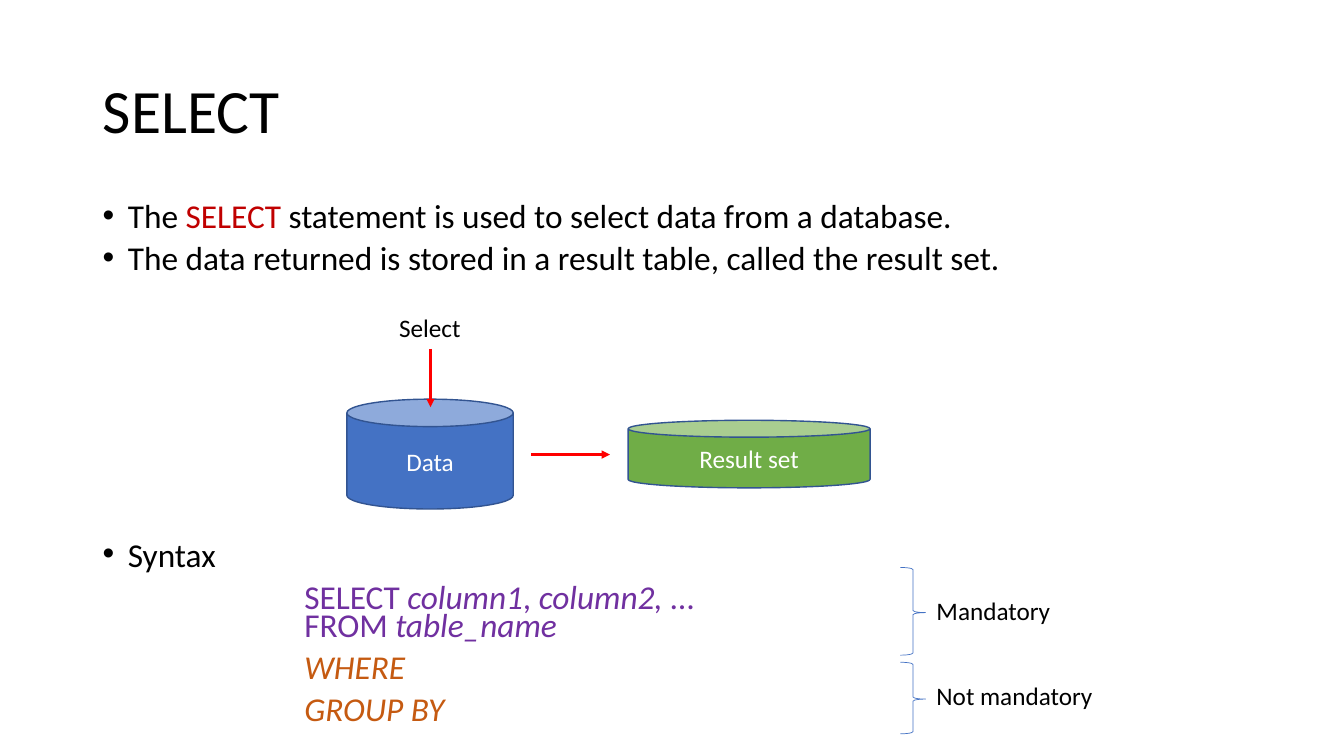
from lxml import etree
from pptx import Presentation
from pptx.dml.color import RGBColor
from pptx.enum import shapes, text
from pptx.oxml import ns
from pptx.util import Inches, Pt

FONT = "Calibri"
BODY_SIZE = 23.8
COLORS = {
    "black": "000000", "white": "FFFFFF", "keyword": "C00000",
    "mandatory": "7030A0", "optional": "C55A11", "data": "4472C4",
    "result": "70AD47", "outline": "325491", "arrow": "FF0000",
}


def rgb(name):
    return RGBColor.from_string(COLORS[name])


def add_run(p, words, size, color="black", italic=False):
    r = p.add_run()
    r.text = words
    r.font.name = FONT
    r.font.size = Pt(size)
    r.font.italic = italic
    r.font.color.rgb = rgb(color)


def add_title(s, words):
    sp = s.shapes.title
    sp.left, sp.top, sp.width, sp.height = map(Inches, (0.92, 0.4, 11.5, 1.45))
    tf = sp.text_frame
    tf.auto_size = text.MSO_AUTO_SIZE.NONE
    tf.vertical_anchor = text.MSO_ANCHOR.MIDDLE
    p = tf.paragraphs[0]
    p.alignment = text.PP_ALIGN.LEFT
    p.line_spacing = 0.9
    add_run(p, words, 44)


def set_indent(p, left, first=0.0, bullet=None):
    pPr = p._p.get_or_add_pPr()
    pPr.set("marL", str(Inches(left)))
    pPr.set("indent", str(Inches(first)))
    if bullet:
        font = etree.SubElement(pPr, ns.qn("a:buFont"))
        font.set("typeface", "Arial")
        etree.SubElement(pPr, ns.qn("a:buChar")).set("char", bullet)


def add_body(s, paragraphs):
    """Each paragraph is (kind, space before, lines), a line being a list of runs."""
    box = s.shapes.add_textbox(Inches(0.92), Inches(2), Inches(11.86), Inches(5.5))
    tf = box.text_frame
    tf.word_wrap = True
    for i, (kind, before, lines) in enumerate(paragraphs):
        p = tf.add_paragraph() if i else tf.paragraphs[0]
        p.line_spacing = 0.7
        p.space_before = Pt(before)
        if kind == "bullet":
            set_indent(p, 0.25, -0.25, "•")
        else:
            set_indent(p, 2)
        for n, line in enumerate(lines):
            if n:
                p.add_line_break()
            for words, *style in line:
                add_run(p, words, BODY_SIZE, *style)


def add_can(s, left, top, width, height, fill, words):
    sp = s.shapes.add_shape(shapes.MSO_SHAPE.CAN, Inches(left), Inches(top),
                            Inches(width), Inches(height))
    sp.shadow.inherit = False
    sp.fill.solid()
    sp.fill.fore_color.rgb = rgb(fill)
    sp.line.color.rgb = rgb("outline")
    sp.line.width = Pt(1)
    tf = sp.text_frame
    tf.vertical_anchor = text.MSO_ANCHOR.MIDDLE
    p = tf.paragraphs[0]
    p.alignment = text.PP_ALIGN.CENTER
    add_run(p, words, 18, "white")


def add_arrow(s, x1, y1, x2, y2):
    line = s.shapes.add_connector(shapes.MSO_CONNECTOR.STRAIGHT, Inches(x1),
                                  Inches(y1), Inches(x2), Inches(y2))
    line.line.color.rgb = rgb("arrow")
    line.line.width = Pt(2)
    head = etree.SubElement(line.line._get_or_add_ln(), ns.qn("a:tailEnd"))
    head.set("type", "triangle")
    etree.SubElement(line._element.spPr, ns.qn("a:effectLst"))


def add_label(s, left, top, width, words):
    box = s.shapes.add_textbox(Inches(left), Inches(top), Inches(width), Inches(0.4))
    tf = box.text_frame
    tf.word_wrap = False
    add_run(tf.paragraphs[0], words, 18)


def add_brace(s, top, height):
    sp = s.shapes.add_shape(shapes.MSO_SHAPE.RIGHT_BRACE, Inches(8.93), Inches(top),
                            Inches(0.25), Inches(height))
    sp.shadow.inherit = False
    sp.adjustments[0] = 0.083
    sp.adjustments[1] = 0.515
    sp.fill.background()
    sp.line.color.rgb = rgb("data")
    sp.line.width = Pt(0.5)


def main():
    prs = Presentation()
    prs.slide_width, prs.slide_height = Inches(13.33), Inches(7.5)
    s = prs.slides.add_slide(prs.slide_layouts[5])
    add_title(s, "SELECT")

    # Explanation and syntax, with room for the diagram before "Syntax"
    add_body(s, [
        ("bullet", 10, [[("The ",), ("SELECT ", "keyword"),
                         ("statement is used to select data from a database.",)]]),
        ("bullet", 10, [[("The data returned is stored in a result table, "
                          "called the result set.",)]]),
        ("bullet", 192, [[("Syntax",)]]),
        ("code", 10, [
            [("SELECT ", "mandatory"), ("column1", "mandatory", True),
             (",", "mandatory"), (" column2, ...", "mandatory", True)],
            [("FROM ", "mandatory"), ("table_name", "mandatory", True)],
        ]),
        ("code", 10, [[("WHERE", "optional", True)]]),
        ("code", 10, [[("GROUP BY", "optional", True)]]),
    ])

    # Diagram: data to result set
    add_can(s, 3.44, 3.96, 1.65, 1.09, "data", "Data")
    add_can(s, 6.23, 4.17, 2.4, 0.67, "result", "Result set")
    add_label(s, 3.86, 3.05, 0.82, "Select")
    add_arrow(s, 4.27, 3.46, 4.27, 4.04)
    add_arrow(s, 5.27, 4.51, 6.05, 4.51)

    # Braces beside the syntax
    for top, height, label_top, width, words in (
            (5.63, 0.87, 5.86, 1.34, "Mandatory"),
            (6.57, 0.71, 6.7, 1.77, "Not mandatory")):
        add_brace(s, top, height)
        add_label(s, 9.19, label_top, width, words)

    prs.save("out.pptx")


if __name__ == "__main__":
    main()
